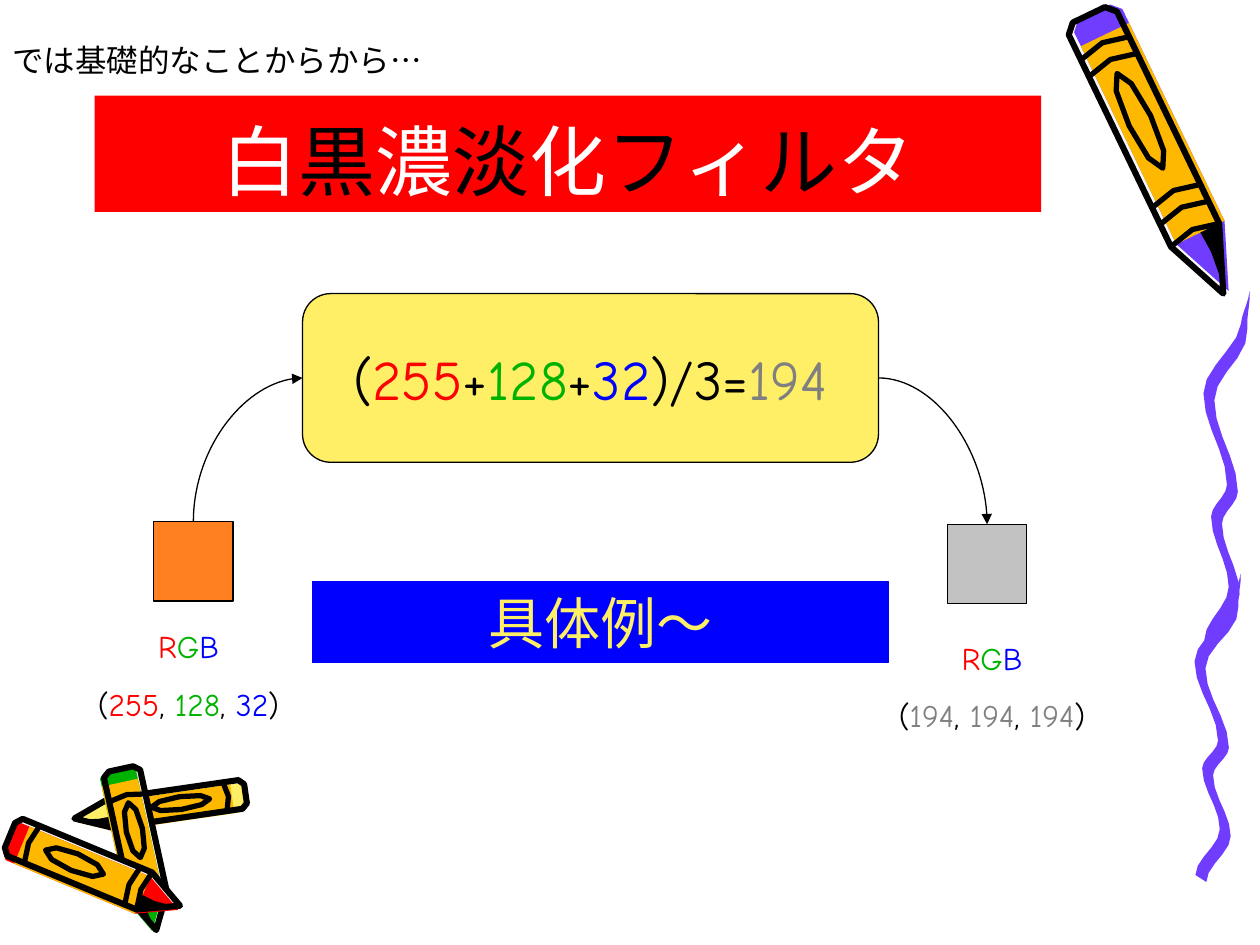
import math

import pptx
import pptx.dml.color
import pptx.enum.shapes
import pptx.enum.text
import pptx.oxml
import pptx.oxml.ns
import pptx.util

Cm = pptx.util.Cm
Pt = pptx.util.Pt
RGB = pptx.dml.color.RGBColor
SHAPE = pptx.enum.shapes.MSO_SHAPE
CONNECTOR = pptx.enum.shapes.MSO_CONNECTOR
ANCHOR = pptx.enum.text.MSO_ANCHOR
AUTO = pptx.enum.text.MSO_AUTO_SIZE
ALIGN = pptx.enum.text.PP_ALIGN

BLACK = RGB(0x00, 0x00, 0x00)
WHITE = RGB(0xFF, 0xFF, 0xFF)
PAPER = RGB(0xF8, 0xF8, 0xF8)
RED = RGB(0xFF, 0x00, 0x00)
GREEN = RGB(0x00, 0xB2, 0x00)
BLUE = RGB(0x00, 0x00, 0xFF)
GREY = RGB(0x80, 0x80, 0x80)
SILVER = RGB(0xC2, 0xC2, 0xC2)
ORANGE = RGB(0xFF, 0x80, 0x20)
AMBER = RGB(0xFF, 0xB8, 0x00)
YELLOW = RGB(0xFF, 0xEF, 0x66)
PURPLE = RGB(0x70, 0x3D, 0xFF)
FONT = "Comic Neue"

TITLE = "白黒濃淡化フィルタ"
INTRO = [("では基礎的なことからから…", BLACK)]
FORMULA = [("(", BLACK), ("255", RED), ("+", BLACK), ("128", GREEN), ("+", BLACK),
           ("32", BLUE), (")/3=", BLACK), ("194", GREY)]
EXAMPLE = [("具体例～", YELLOW)]
RGB_LETTERS = [("R", RED), ("G", GREEN), ("B", BLUE)]
PIXELS = [
    {"square": (3.1, 10.52), "fill": ORANGE, "label": (1.3, 12.52),
     "values": [("255", RED), ("128", GREEN), ("32", BLUE)]},
    {"square": (19.1, 10.57), "fill": SILVER, "label": (17.5, 12.75),
     "values": [("194", GREY)] * 3},
]

CRAYONS = [
    {"wax": PURPLE, "end": (21.95, 0.3), "tip": (24.66, 5.92), "width": 1.2,
     "bands": (0.12, 0.18, 0.65, 0.71)},
    {"wax": YELLOW, "end": (4.95, 16), "tip": (1.5, 16.5), "width": 0.65, "bands": (0.12,)},
    {"wax": GREEN, "end": (2.44, 15.5), "tip": (3.15, 18.75), "width": -0.83, "bands": (0.18,)},
    {"wax": RED, "end": (0.2, 16.84), "tip": (3.63, 18.26), "width": -0.9, "bands": (0.13, 0.72)},
]
RIM, SHOULDER, INK_SHIFT = 0.45, 0.79, 0.1
LABEL_CENTRE, LABEL_LENGTH, LABEL_WIDTH = 0.38, 0.17, 0.2

SQUIGGLES = [(24.1, 11.56, 0.91, 6.15), (24.28, 5.87, 0.91, 7.1)]
SQUIGGLE_TURNS = [(1, 0), (0.88, 0.1), (0.1, 0.3), (0.62, 0.56), (0.27, 0.65), (0.66, 0.85),
                  (0.12, 1)]
TURN_STEPS = 5
BRUSH = (0.11, 0.07)


def draw_path(shapes, points, fill=None, stroke=None):
    start, *rest = [(Cm(x), Cm(y)) for x, y in points]
    builder = shapes.build_freeform(*start, scale=1.0)
    builder.add_line_segments(rest, close=fill is not None)
    sp = builder.convert_to_shape()
    sp.shadow.inherit = False
    if fill is None:
        sp.fill.background()
        sp.line.color.rgb = BLACK
        sp.line.width = Pt(stroke)
    else:
        sp.fill.solid()
        sp.fill.fore_color.rgb = fill
        sp.line.fill.background()


def draw_crayon(shapes, wax, end, tip, width, bands):
    dx, dy = tip[0] - end[0], tip[1] - end[1]
    length = math.hypot(dx, dy)

    def place(points, shift=0):
        return [(end[0] + along * dx + (across + shift) * width * dy / length,
                 end[1] + along * dy - (across + shift) * width * dx / length)
                for along, across in points]

    silhouette = [(SHOULDER, -RIM), (0.03, -RIM), (0, -0.3), (0, 0.3), (0.03, RIM),
                  (SHOULDER, RIM), (1, 0)]
    wrapper = [(0.08, -RIM), (0.08, RIM), (SHOULDER, RIM), (SHOULDER, -RIM)]
    tip_shade = [(SHOULDER, 0.1), (SHOULDER, RIM), (0.97, 0.06), (0.86, 0.12)]
    angles = [2 * math.pi * i / 8 for i in range(9)]
    label = [(LABEL_CENTRE + LABEL_LENGTH * math.cos(a), LABEL_WIDTH * math.sin(a))
             for a in angles]

    draw_path(shapes, place(silhouette), fill=PAPER)
    draw_path(shapes, place(silhouette, INK_SHIFT), fill=wax)
    draw_path(shapes, place(wrapper, INK_SHIFT), fill=AMBER)
    draw_path(shapes, place(tip_shade), fill=BLACK)
    draw_path(shapes, place(silhouette + silhouette[:1]), stroke=3.5)
    draw_path(shapes, place(label), stroke=3)
    for along in (*bands, SHOULDER):
        draw_path(shapes, place([(along, -RIM), (along - 0.02, 0), (along, RIM)]), stroke=3)


def draw_squiggle(shapes, left, top, width, height):
    spine = []
    for (x0, y0), (x1, y1) in zip(SQUIGGLE_TURNS, SQUIGGLE_TURNS[1:]):
        for step in range(TURN_STEPS):
            t = step / TURN_STEPS
            ease = (1 - math.cos(math.pi * t)) / 2
            spine.append((x0 + (x1 - x0) * ease, y0 + (y1 - y0) * t))
    spine.append(SQUIGGLE_TURNS[-1])

    def edge(side):
        return [(left + x * width + side * BRUSH[0] * min(1, 6 * y),
                 top + y * height + side * BRUSH[1] * min(1, 6 * y)) for x, y in spine]

    draw_path(shapes, edge(-1) + edge(1)[::-1], fill=PURPLE)


def add_box(shapes, kind, box, fill, line):
    sp = shapes.add_shape(kind, *map(Cm, box))
    sp.shadow.inherit = False
    sp.fill.solid()
    sp.fill.fore_color.rgb = fill
    sp.line.color.rgb = line
    sp.line.width = Pt(0.75)
    return sp


def write(tf, paragraphs, size, align=ALIGN.CENTER, anchor=ANCHOR.TOP, wrap=True):
    tf.word_wrap = wrap
    tf.auto_size = AUTO.NONE
    tf.vertical_anchor = anchor
    for i, runs in enumerate(paragraphs):
        p = tf.add_paragraph() if i else tf.paragraphs[0]
        p.alignment = align
        p.space_before = Pt(11.2 if i else 0)
        p.font.size = Pt(size)
        p.font.name = FONT
        for text, color in runs:
            r = p.add_run()
            r.text = text
            r.font.color.rgb = color


def add_arrow(shapes, box, site, square, arrow_end):
    ns = pptx.oxml.ns.nsdecls("a")
    c = shapes.add_connector(CONNECTOR.CURVE, 0, 0, 0, 0)
    c.begin_connect(box, site)
    c.end_connect(square, 0)
    c.line.color.rgb = BLACK
    c.line.width = Pt(0.75)
    spPr = c._element.spPr
    spPr.find(pptx.oxml.ns.qn("a:prstGeom")).set("prst", "curvedConnector2")
    spPr.find(pptx.oxml.ns.qn("a:ln")).append(
        pptx.oxml.parse_xml(f'<a:{arrow_end} {ns} type="triangle"/>'))
    spPr.append(pptx.oxml.parse_xml(f"<a:effectLst {ns}/>"))


def main():
    prs = pptx.Presentation()
    prs.slide_width, prs.slide_height = Cm(25.4), Cm(19.05)
    s = prs.slides.add_slide(prs.slide_layouts[5])
    shapes = s.shapes

    for squiggle in SQUIGGLES:
        draw_squiggle(shapes, *squiggle)
    for crayon in CRAYONS:
        draw_crayon(shapes, **crayon)

    title = shapes.title
    title.left, title.top, title.width, title.height = map(Cm, (1.91, 1.93, 19.08, 2.34))
    title.fill.solid()
    title.fill.fore_color.rgb = RED
    title_runs = [(ch, BLACK if i % 2 else WHITE) for i, ch in enumerate(TITLE)]
    write(title.text_frame, [title_runs], 44, anchor=ANCHOR.BOTTOM)

    intro = shapes.add_textbox(*map(Cm, (0, 0.71, 10.01, 1.02)))
    write(intro.text_frame, [INTRO], 18, align=ALIGN.LEFT)

    formula = add_box(shapes, SHAPE.ROUNDED_RECTANGLE, (6.1, 5.92, 11.61, 3.4), YELLOW, BLACK)
    write(formula.text_frame, [FORMULA], 32, anchor=ANCHOR.MIDDLE, wrap=False)

    arrows = [(1, "headEnd"), (3, "tailEnd")]
    for pixel, (site, arrow_end) in zip(PIXELS, arrows):
        square = add_box(shapes, SHAPE.RECTANGLE, (*pixel["square"], 1.6, 1.6),
                         pixel["fill"], BLACK)
        first, *others = pixel["values"]
        values = [("(", BLACK), first]
        for value in others:
            values += [(", ", BLACK), value]
        label = shapes.add_textbox(*map(Cm, (*pixel["label"], 5, 2.18)))
        write(label.text_frame, [RGB_LETTERS, values + [(")", BLACK)]], 18)
        add_arrow(shapes, formula, site, square, arrow_end)

    example = add_box(shapes, SHAPE.RECTANGLE, (6.3, 11.73, 11.61, 1.63), BLUE, BLUE)
    write(example.text_frame, [EXAMPLE], 32)

    prs.save("out.pptx")


if __name__ == "__main__":
    main()
